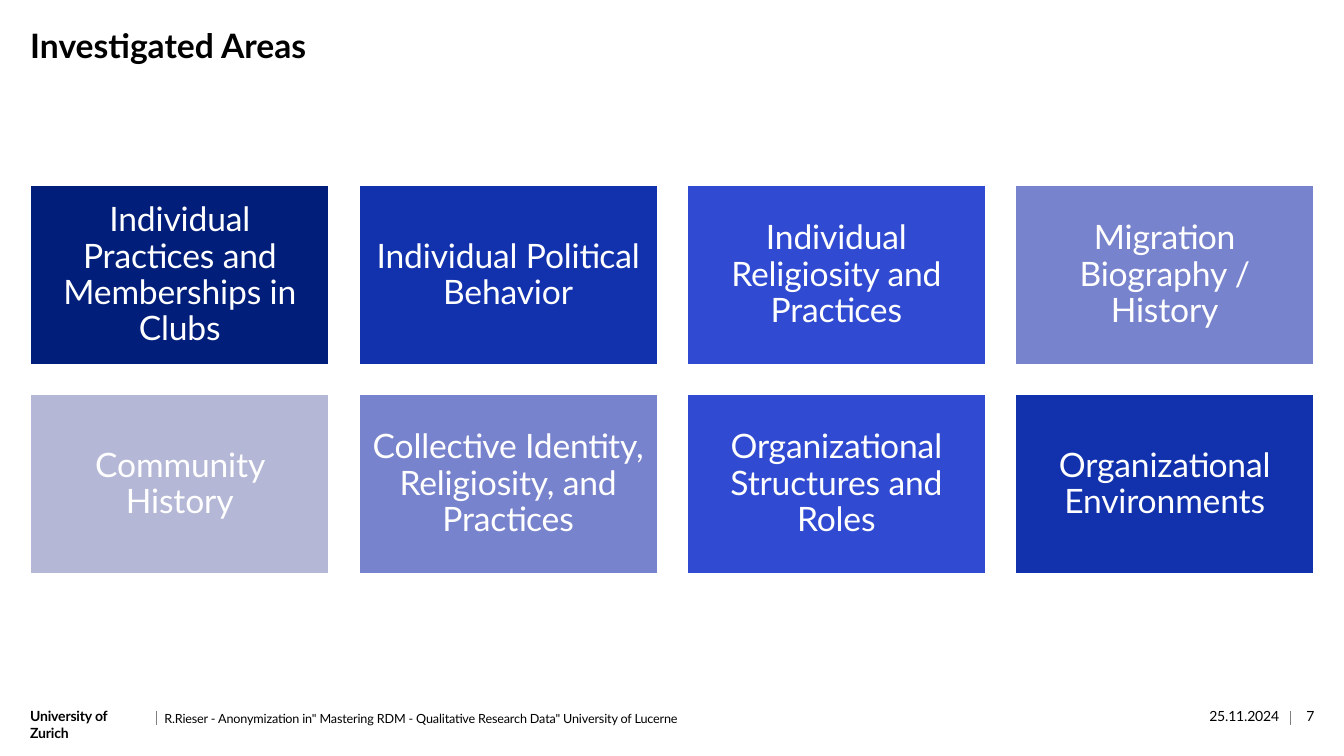
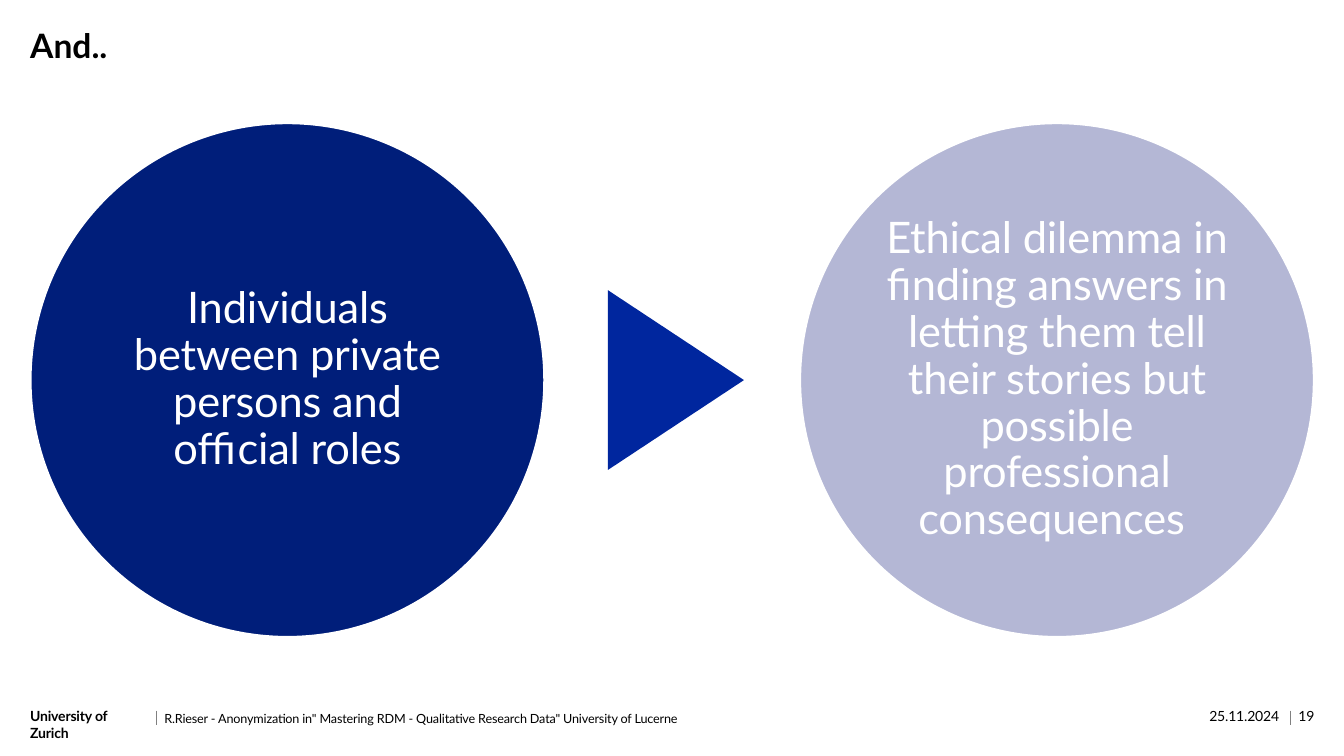
from dataclasses import dataclass

from lxml import etree
from pptx import Presentation
from pptx.dml.color import RGBColor
from pptx.enum import shapes, text
from pptx.oxml import ns
from pptx.util import Pt


@dataclass(frozen=True)
class Theme:
    """Colours, type sizes and margins of the deck."""
    font: str = "Lato"
    ink: str = "000000"
    paper: str = "FFFFFF"
    rule: str = "808080"
    navy: str = "001E7A"
    arrow: str = "00269E"
    royal: str = "1131AD"
    bright: str = "304AD1"
    soft: str = "7883CD"
    pale: str = "B4B7D5"
    title_size: int = 24
    card_size: int = 24
    circle_size: int = 31
    footer_size: int = 10
    source_size: int = 9
    tracking: float = -0.1
    left: float = 21.8
    right: float = 938.5


class Deck:
    """Holds the style and the slide being drawn."""

    def __init__(self, theme):
        """Start an empty widescreen presentation."""
        self.theme = theme
        self.prs = Presentation()
        self.prs.slide_width, self.prs.slide_height = Pt(960), Pt(540)
        self.slide = None

    def set_words(self, frame, words, size, colour, align="LEFT", anchor="TOP",
                  inset=0, leading=0.98, bold=False, tracking=0):
        """Fill a text frame with one formatted paragraph."""
        frame.word_wrap = True
        frame.auto_size = text.MSO_AUTO_SIZE.NONE
        frame.vertical_anchor = text.MSO_ANCHOR[anchor]
        frame.margin_left = frame.margin_right = Pt(inset)
        frame.margin_top = frame.margin_bottom = Pt(inset)
        frame.text = words
        paragraph = frame.paragraphs[0]
        paragraph.alignment = text.PP_ALIGN[align]
        paragraph.line_spacing = leading
        font = paragraph.font
        font.name, font.size, font.bold = self.theme.font, Pt(size), bold
        font.color.rgb = RGBColor.from_string(colour)
        if tracking:
            props = paragraph.runs[0]._r.get_or_add_rPr()
            props.set("spc", str(round(tracking * 100)))

    def label(self, box, words, size, **style):
        """Add a small line of text."""
        area = self.slide.shapes.add_textbox(*map(Pt, box))
        self.set_words(area.text_frame, words, size, self.theme.ink,
                       tracking=self.theme.tracking, **style)

    def divider(self, x):
        """Add a short vertical footer rule."""
        rule = self.slide.shapes.add_connector(
            shapes.MSO_CONNECTOR.STRAIGHT, Pt(x), Pt(507.6), Pt(x), Pt(517.7))
        rule.line.color.rgb = RGBColor.from_string(self.theme.rule)
        rule.line.width = Pt(0.5)
        etree.SubElement(rule._element.spPr, ns.qn("a:effectLst"))

    def panel(self, kind, box, colour, outline=0):
        """Add a filled shape, with a white outline if wanted."""
        panel = self.slide.shapes.add_shape(
            shapes.MSO_SHAPE[kind], *map(Pt, box))
        panel.shadow.inherit = False
        panel.fill.solid()
        panel.fill.fore_color.rgb = RGBColor.from_string(colour)
        if outline:
            panel.line.color.rgb = RGBColor.from_string(self.theme.paper)
            panel.line.width = Pt(outline)
        else:
            panel.line.fill.background()
        return panel

    def caption(self, panel, words, size, inset):
        """Centre white words in a panel."""
        self.set_words(panel.text_frame, words, size, self.theme.paper,
                       "CENTER", "MIDDLE", inset, 0.9,
                       tracking=self.theme.tracking)

    def footer(self, number):
        """Add the footer line."""
        theme = self.theme
        for x in (111.6, 921.6):
            self.divider(x)
        self.label((21.6, 506.2, 83.5, 11.5), "University of Zurich",
                   theme.footer_size, bold=True)
        self.label((820.1, 506.2, 93.6, 11.5), "25.11.2024",
                   theme.footer_size, align="RIGHT")
        self.label((922.3, 506.2, 16.6, 11.5), str(number),
                   theme.footer_size, align="RIGHT")
        self.label((117.4, 508.3, 674.6, 10.8),
                   'R.Rieser - Anonymization in" Mastering RDM - '
                   'Qualitative Research Data" University of Lucerne',
                   theme.source_size)

    def start(self, heading, number):
        """Open a slide with its title and footer."""
        self.slide = self.prs.slides.add_slide(self.prs.slide_layouts[5])
        title = self.slide.shapes.title
        title.left, title.top = Pt(21.6), Pt(19.4)
        title.width, title.height = Pt(917.3), Pt(49)
        self.set_words(title.text_frame, heading, self.theme.title_size,
                       self.theme.ink, leading=0.97, bold=True)
        self.footer(number)

    def cards(self, areas, columns=4, width=213.2, height=128, top=132.7):
        """Lay out coloured cards in an even grid."""
        theme = self.theme
        pitch = (theme.right - theme.left - width) / (columns - 1)
        gap = pitch - width
        for index, (words, colour) in enumerate(areas):
            row, column = divmod(index, columns)
            box = (theme.left + column * pitch, top + row * (height + gap),
                   width, height)
            card = self.panel("RECTANGLE", box, colour, outline=1)
            self.caption(card, words, theme.card_size, inset=7.2)

    def progression(self, stages, diameter=367, top=88):
        """Show two circles with an arrowhead from one to the other."""
        theme = self.theme
        for x, (words, colour) in zip(
                (theme.left, theme.right - diameter), stages):
            circle = self.panel("OVAL", (x, top, diameter, diameter), colour,
                                outline=1.5)
            self.caption(circle, words, theme.circle_size, inset=2.9)
        base, depth = 128.4, 97.2
        middle = top + diameter / 2
        arrow = self.panel("ISOSCELES_TRIANGLE",
                           (482.8 - base / 2, middle - depth / 2, base, depth),
                           theme.arrow)
        arrow.rotation = 90


def main():
    """Build and save the two slides."""
    theme = Theme()
    deck = Deck(theme)
    deck.start("Investigated Areas", 7)
    deck.cards([
        ("Individual Practices and Memberships in Clubs", theme.navy),
        ("Individual Political Behavior", theme.royal),
        ("Individual Religiosity and Practices", theme.bright),
        ("Migration Biography / History", theme.soft),
        ("Community History", theme.pale),
        ("Collective Identity, Religiosity, and Practices", theme.soft),
        ("Organizational Structures and Roles", theme.bright),
        ("Organizational Environments", theme.royal),
    ])
    deck.start("And..", 19)
    deck.progression([
        ("Individuals between private persons and official roles", theme.navy),
        ("Ethical dilemma in finding answers in letting them tell their "
         "stories but possible professional consequences ", theme.pale),
    ])
    deck.prs.save("out.pptx")


if __name__ == "__main__":
    main()
